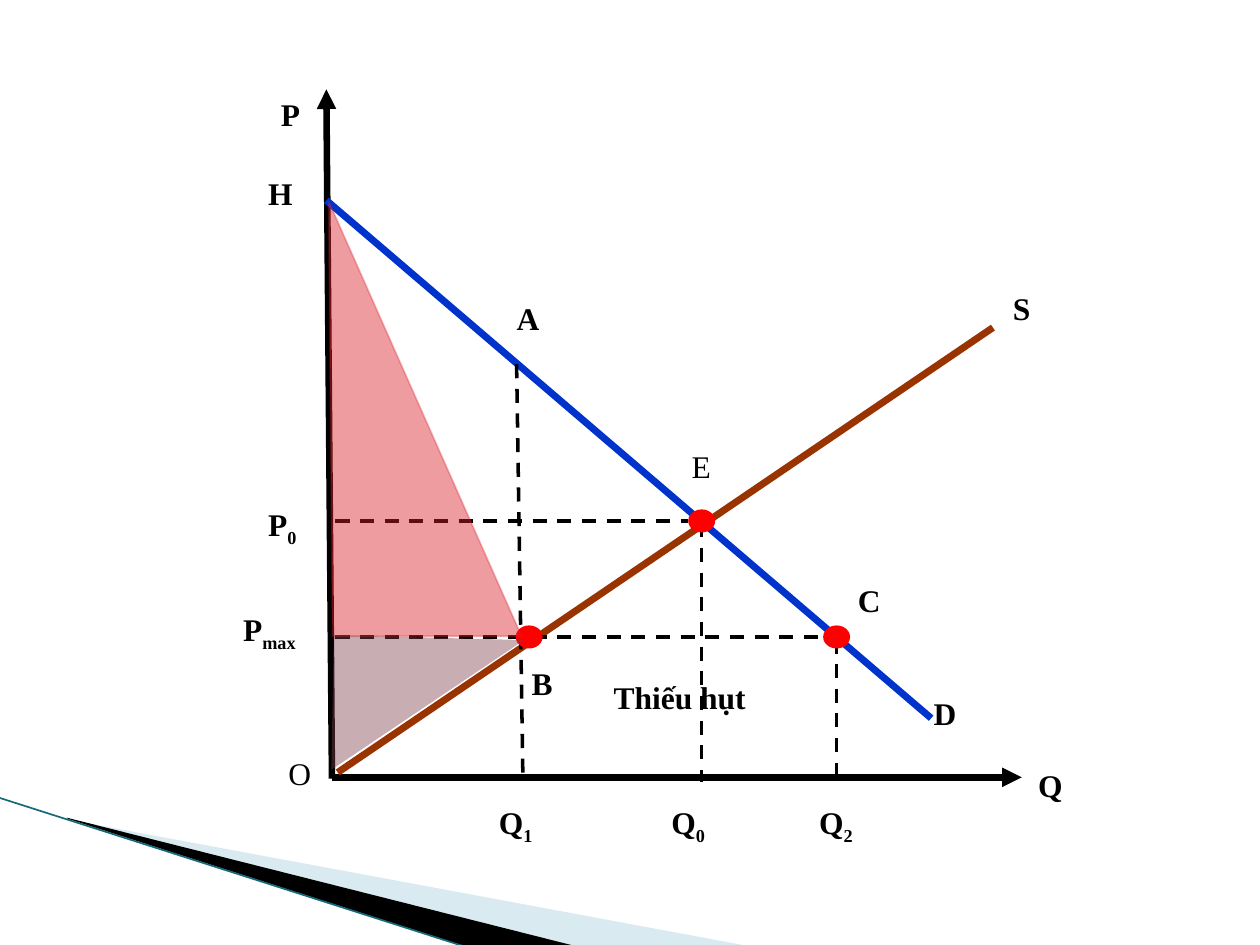
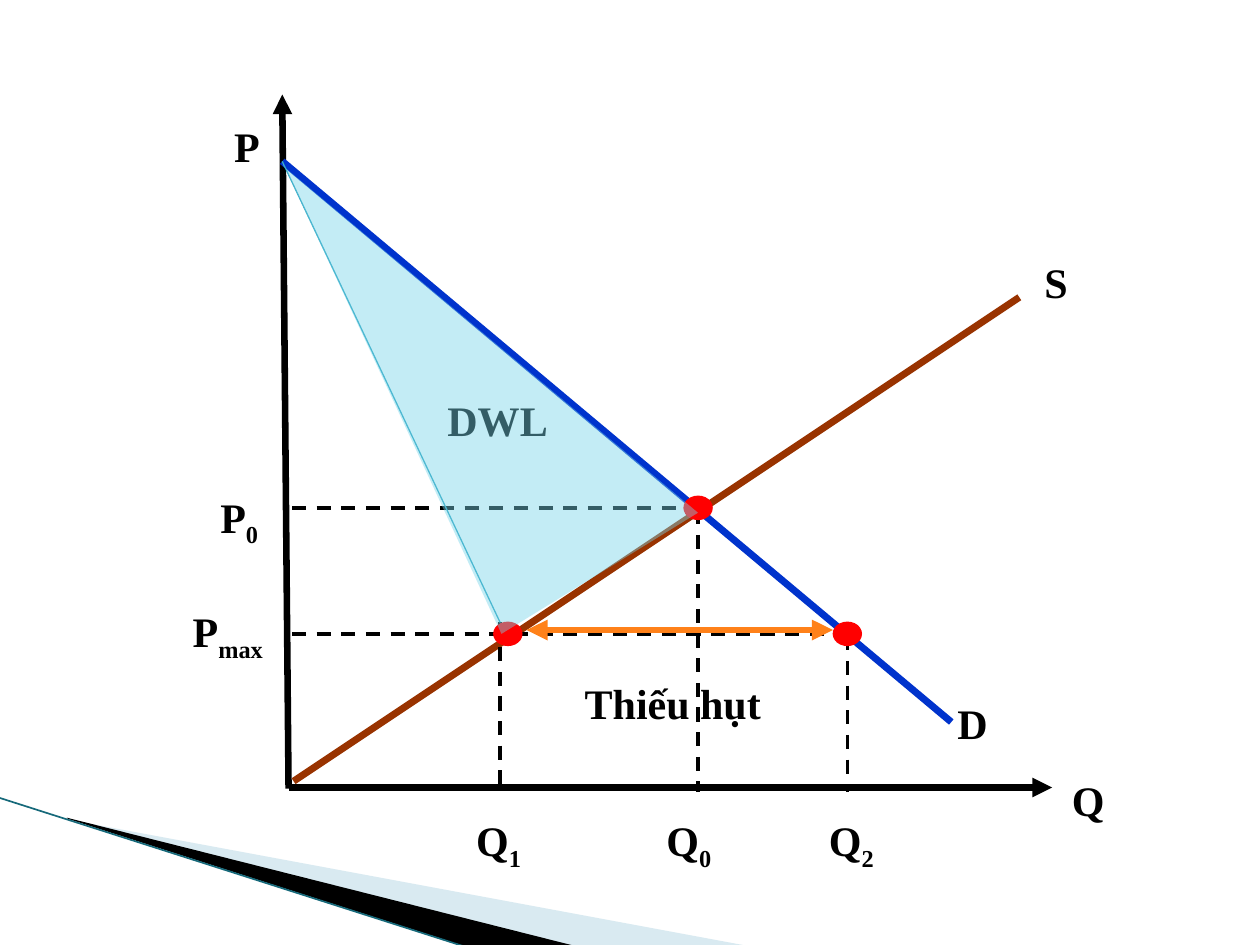
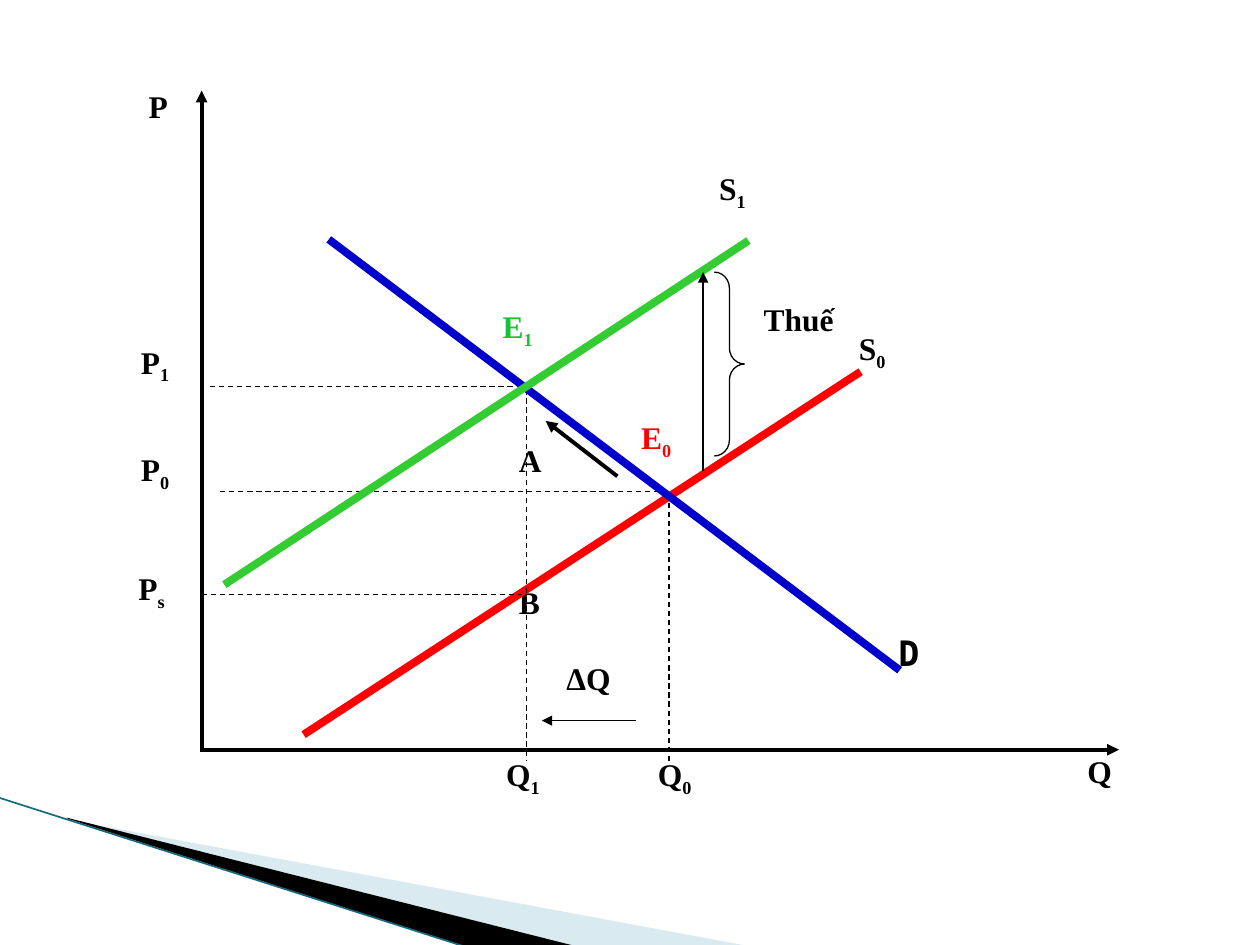
import pptx
import pptx.util
import pptx.dml.color
import pptx.enum.dml
import pptx.enum.shapes
import pptx.enum.text
import pptx.oxml.ns
import pptx.oxml.xmlchemy

Pt = pptx.util.Pt
SERIF = "Times New Roman"
MONO = "DejaVu Sans Mono"
HUES = {
    "black": "000000", "red": "FF0000", "blue": "0033CC", "navy": "0000CC",
    "brown": "993300", "green": "33CC33", "leaf": "17C334", "orange": "FF8119",
    "teal": "2DA2BF", "aqua": "78D6EA", "rose": "DA1F28", "plum": "7D3C4A",
    "sky": "A0CBDC", "edge": "16697A",
}


def hue(name):
    return pptx.dml.color.RGBColor.from_string(HUES[name])


def fade(shape, *parts):
    for tag, part in zip(list(shape.element.spPr.iter(pptx.oxml.ns.qn("a:srgbClr"))), parts):
        alpha = pptx.oxml.xmlchemy.OxmlElement("a:alpha")
        alpha.set("val", str(part * 1000))
        tag.append(alpha)


def text(slide, words, x, y, wide, high, size=18, font=SERIF, color="black", bold=True,
         inset=(7.2, 3.6), wrap=True, grow=True, center=False):
    box = slide.shapes.add_textbox(Pt(x), Pt(y), Pt(wide), Pt(high))
    frame = box.text_frame
    frame.margin_left = frame.margin_right = Pt(inset[0])
    frame.margin_top = frame.margin_bottom = Pt(inset[1])
    frame.word_wrap = wrap
    sizes = pptx.enum.text.MSO_AUTO_SIZE
    frame.auto_size = sizes.SHAPE_TO_FIT_TEXT if grow else sizes.NONE
    para = frame.paragraphs[0]
    if center:
        para.alignment = pptx.enum.text.PP_ALIGN.CENTER
    for sub, part in enumerate(words.split("_")):
        run = para.add_run()
        run.text = part
        run.font.name, run.font.size, run.font.bold = font, Pt(size), bold
        run.font.color.rgb = hue(color)
        if sub:
            run.font._element.set("baseline", "-25000")


def line(slide, start, end, color="black", width=2.0, dash=False, ends=()):
    link = slide.shapes.add_connector(
        pptx.enum.shapes.MSO_CONNECTOR.STRAIGHT, *(Pt(n) for n in (*start, *end)))
    link.line.color.rgb = hue(color)
    link.line.width = Pt(width)
    if dash:
        link.line.dash_style = pptx.enum.dml.MSO_LINE.DASH
    props = link.element.spPr
    stroke = props.find(pptx.oxml.ns.qn("a:ln"))
    for side in ends:
        tip = pptx.oxml.xmlchemy.OxmlElement("a:" + side)
        tip.set("type", "triangle")
        stroke.append(tip)
    props.append(pptx.oxml.xmlchemy.OxmlElement("a:effectLst"))


def area(slide, points, color, alpha=100, edge=None):
    spots = [(Pt(x), Pt(y)) for x, y in points]
    pen = slide.shapes.build_freeform(*spots[0], scale=1.0)
    pen.add_line_segments(spots[1:], close=True)
    shape = pen.convert_to_shape()
    shape.shadow.inherit = False
    shape.fill.solid()
    shape.fill.fore_color.rgb = hue(color)
    if edge:
        shape.line.color.rgb = hue(color)
        shape.line.width = Pt(1)
    else:
        shape.line.fill.background()
    if alpha < 100:
        fade(shape, alpha, *([edge] if edge else []))


def dot(slide, spot, wide, high):
    shape = slide.shapes.add_shape(
        pptx.enum.shapes.MSO_SHAPE.OVAL,
        Pt(spot[0] - wide / 2), Pt(spot[1] - high / 2), Pt(wide), Pt(high))
    shape.shadow.inherit = False
    shape.fill.solid()
    shape.fill.fore_color.rgb = hue("red")
    shape.line.color.rgb = hue("red")
    shape.line.width = Pt(1)


def brace(slide, x, y, wide, high):
    shape = slide.shapes.add_shape(
        pptx.enum.shapes.MSO_SHAPE.RIGHT_BRACE, Pt(x), Pt(y), Pt(wide), Pt(high))
    shape.adjustments[0] = 0.53
    shape.shadow.inherit = False
    shape.fill.background()
    shape.line.color.rgb = hue("black")
    shape.line.width = Pt(0.75)


def page(deck):
    slide = deck.slides.add_slide(deck.slide_layouts[6])
    area(slide, [(39.6, 468.5), (428.4, 540.7), (328.3, 540.7), (39.6, 468)], "sky", 40)
    area(slide, [(38.2, 467.3), (329, 540.7), (267.8, 541.4), (38.9, 468)], "black")
    line(slide, (-0.7, 455.8), (267.1, 541.4), "edge", 0.95)
    return slide


def market(slide, top, base, far, supply, demand, even, short, over, drop, size):
    left, floor = base
    line(slide, top, (left, floor + 0.7), width=3.75, ends=["headEnd"])
    line(slide, base, (far, floor), width=3.75, ends=["tailEnd"])
    line(slide, *supply, "brown", 4)
    line(slide, *demand, "blue", 4)
    for spot in (even, over):
        line(slide, (left + 2, spot[1]), (spot[0] - 8, spot[1]), dash=True)
        line(slide, (spot[0], spot[1] + 1.4), (spot[0], floor + 2.8), dash=True)
    line(slide, *drop, dash=True)
    for spot in (even, short, over):
        dot(slide, spot, *size)


def loss(deck):
    slide = page(deck)
    market(slide, (186.5, 51.1), (189.7, 444.2), 583.9,
           [(193, 441.4), (567.4, 187.2)], [(186.5, 114.5), (532.1, 410.4)],
           (401, 297.7), (302.4, 364), (478.1, 364),
           [(295.2, 208.1), (298.8, 444.2)], (14.4, 12.2))
    for words, x, y, wide in [
            ("Q", 588.2, 434.9, 29.5), ("P", 155.5, 51.1, 25.9), ("S", 573.8, 162, 24.5),
            ("D", 528.5, 393.8, 28.1), ("P_0", 148.3, 285.8, 33.1),
            ("P_max", 133.9, 345.6, 51.8), ("Q_0", 378.7, 455.8, 36.7),
            ("Q_1", 280.1, 455.8, 36.7), ("Q_2", 463, 455.8, 36.7),
            ("A", 290.2, 167.8, 33.8), ("E", 390.2, 252.7, 25.9), ("B", 298.8, 376.6, 27.4),
            ("H", 148.3, 96.5, 33.8), ("O", 159.8, 427.7, 28.1), ("C", 485.3, 329, 33.8)]:
        text(slide, words, x, y, wide, 27, inset=(5, 2.9), bold=words not in "EO")
    text(slide, "Thiếu hụt", 318.2, 383.8, 140.4, 28.8, center=True)
    area(slide, [(187.9, 115.2), (190.1, 363.6), (298.1, 363.6)], "rose", 44, 30)
    area(slide, [(190.8, 362.9), (189.4, 439.9), (299.5, 365.8), (188.6, 362.9)], "plum", 42)


def gap(deck):
    slide = page(deck)
    peak = (161.3, 92.2)
    market(slide, (161.3, 54), (164.9, 450), 601.2,
           [(167.8, 446.4), (582.5, 169.9)], [peak, (543.6, 412.6)],
           (398.9, 290.2), (290.2, 362.2), (484.2, 362.2),
           [(285.8, 355.7), (285.8, 450)], (15.8, 13))
    for words, x, y, wide in [
            ("Q", 605.5, 439.2, 33.1), ("P", 126.7, 65.5, 28.8), ("S", 589.7, 143.3, 28.1),
            ("D", 540, 395.3, 31.7), ("P_0", 118.8, 277.2, 37.4),
            ("P_max", 103, 342.7, 59), ("Q_0", 373.7, 462.2, 41),
            ("Q_1", 265, 462.2, 41), ("Q_2", 466.6, 462.2, 41)]:
        text(slide, words, x, y, wide, 36, size=24, wrap=False)
    text(slide, "Thiếu hụt", 306.7, 383.8, 155.5, 36, size=24, center=True)
    line(slide, (301, 360), (475.9, 360), "orange", 4, ends=["headEnd", "tailEnd"])
    line(slide, peak, (285.8, 355.7), "teal", 0.75)
    text(slide, "DWL", 246.2, 221.8, 76.3, 36, size=24, center=True)
    area(slide, [peak, (286.6, 362.2), (398.9, 293), (162, 95)], "aqua", 44)


def tax(deck):
    slide = page(deck)
    for words, x, y, wide, color in [
            ("P_0", 73.4, 253.4, 58.3, "black"), ("Q", 614.2, 426.2, 46.8, "black"),
            ("P", 77.8, 46.1, 39.6, "black"), ("S_0", 483.8, 184.3, 60.5, "black"),
            ("ΔQ", 316.6, 373, 58, "black"), ("Q_1", 282.2, 427.7, 62, "black"),
            ("Q_0", 368.8, 427.7, 62, "black"), ("E_1", 280.1, 172.1, 61.9, "leaf"),
            ("E_0", 359.3, 235.4, 52.6, "red"), ("P_1", 73.4, 192.2, 61.9, "black"),
            ("S_1", 403.9, 92.9, 60.5, "black"), ("P_s", 72, 321.8, 61.9, "black"),
            ("A", 289.4, 248.4, 61.9, "black"), ("B", 289.4, 329.8, 61.9, "black")]:
        text(slide, words, x, y, wide, 48, color=color, grow=False)
    text(slide, "Thuế", 403.9, 167.8, 105.1, 49, center=True, grow=False)
    text(slide, "D", 506.2, 357.1, 56.9, 38.9, size=20, font=MONO, grow=False)
    line(slide, (491.8, 212.4), (173.5, 419.8), "red", 4.5)
    for start, end in [
            ((381.6, 280.8), (124.6, 280.8)), ((382.3, 282.2), (382.3, 434.9)),
            ((115.2, 339.8), (298.1, 339.8)), ((298.1, 221), (119.5, 221)),
            ((301, 222.5), (301, 434.9))]:
        line(slide, start, end, width=0.75, dash=True)
    line(slide, (187.9, 136.8), (514.1, 383), "navy", 4.5)
    line(slide, (427.7, 137.5), (128.2, 334.1), "green", 4.5)
    for start, end, width in [
            ((115.2, 428.4), (639.4, 428.4), 2.25), ((115.2, 429.8), (115.2, 51.8), 2.25),
            ((352.8, 272.2), (311.8, 240.5), 2.25), ((363.6, 411.8), (309.6, 411.8), 0.75),
            ((401.8, 269.3), (401.8, 155.5), 0.75)]:
        line(slide, start, end, width=width, ends=["tailEnd"])
    brace(slide, 408.2, 155.5, 17.3, 105.1)


def main():
    deck = pptx.Presentation()
    deck.slide_width, deck.slide_height = Pt(720), Pt(540)
    loss(deck)
    gap(deck)
    tax(deck)
    deck.save("out.pptx")


if __name__ == "__main__":
    main()
